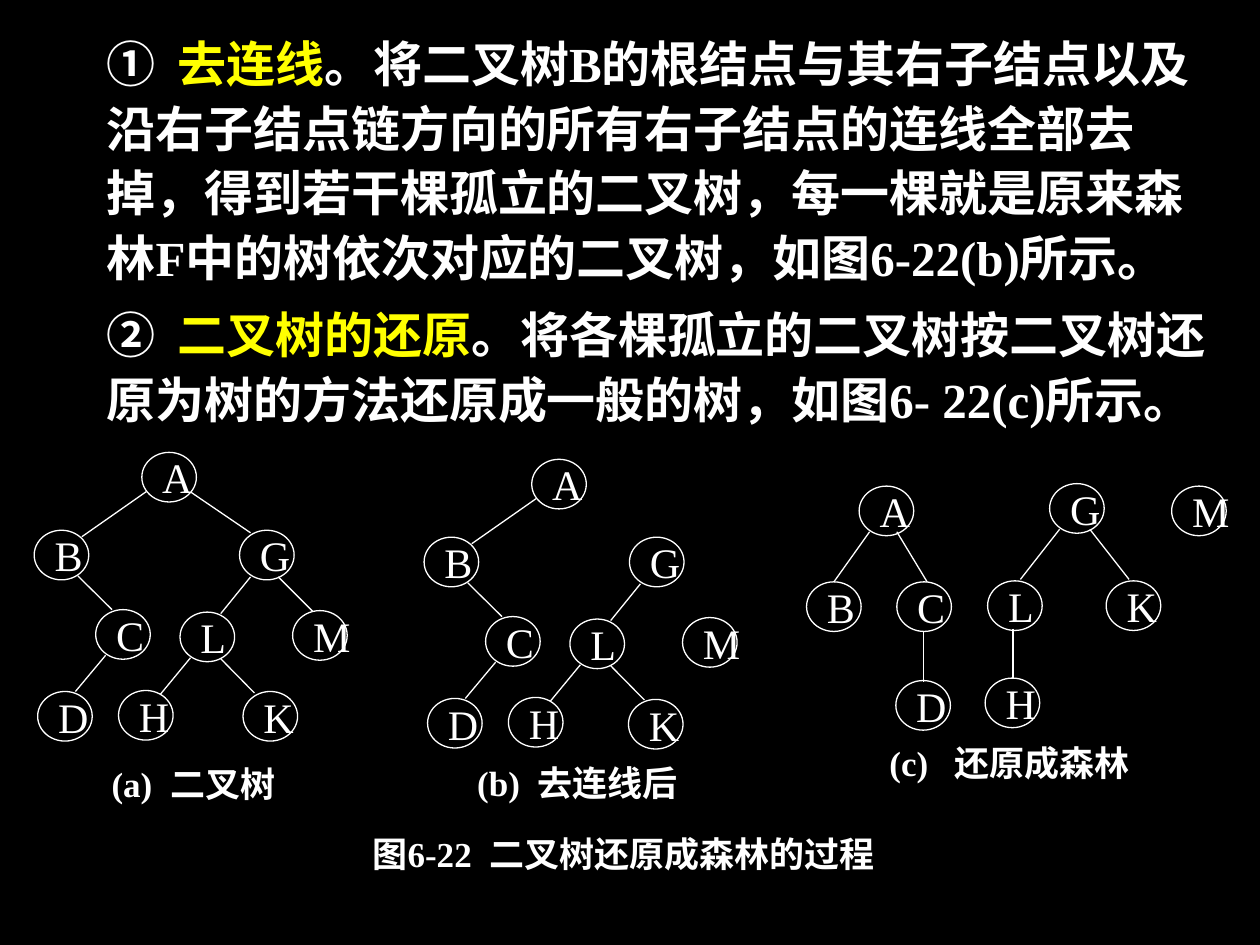
from pptx import Presentation
from pptx.util import Cm, Pt
from pptx.dml.color import RGBColor
from pptx.enum.shapes import MSO_SHAPE as Shape, MSO_CONNECTOR as Link
from pptx.enum.text import MSO_ANCHOR as Anchor, PP_ALIGN as Align
from lxml.etree import SubElement
from pptx.oxml.ns import qn

ROMAN, SANS = "Times New Roman", "Noto Sans CJK SC"
WHITE, YELLOW, BLACK = "FFFFFF", "FFFF00", "000000"


def paint(target, color):
    target.rgb = RGBColor.from_string(color)


def write(para, text, size, color=WHITE, bold=True, face=ROMAN):
    run = para.add_run()
    run.text = text
    font = run.font
    font.size, font.bold, font.name = Pt(size), bold, face
    paint(font.color, color)
    SubElement(run._r.get_or_add_rPr(), qn("a:ea")).set("typeface", SANS)


deck = Presentation()
deck.slide_width, deck.slide_height = Cm(25.4), Cm(19.05)
slide = deck.slides.add_slide(deck.slide_layouts[6])
slide.background.fill.solid()
paint(slide.background.fill.fore_color, BLACK)
shapes = slide.shapes

steps = [
    [("①  ", WHITE, ROMAN), ("去连线", YELLOW, ROMAN),
     ("。将二叉树B的根结点与其右子结点以及沿右子结点链方向的所有右子结点的连线全部去掉，"
      "得到若干棵孤立的二叉树，每一棵就是原来森林F中的树依次对应的二叉树，", WHITE, ROMAN),
     ("如图", WHITE, SANS), ("6-22(b)所示", WHITE, ROMAN), ("。", WHITE, SANS)],
    [("②  ", WHITE, ROMAN), ("二叉树的还原", YELLOW, ROMAN),
     ("。将各棵孤立的二叉树按二叉树还原为树的方法还原成一般的树，", WHITE, ROMAN),
     ("如图", WHITE, SANS), ("6- 22(c)所示", WHITE, ROMAN), ("。", WHITE, SANS)],
]
body = shapes.add_textbox(Cm(0.43), Cm(0.43), Cm(24.56), Cm(8.51)).text_frame
body.word_wrap = True
for i, step in enumerate(steps):
    para = body.add_paragraph() if i else body.paragraphs[0]
    para.line_spacing, para.space_before = 1.1, Pt(7)
    props = para._p.get_or_add_pPr()
    props.set("marL", str(Cm(1.47)))
    props.set("indent", "0")
    props.set("hangingPunct", "0")
    for text, color, face in step:
        write(para, text, 28, color, face=face)

nodes_a = {"A": (2.86, 9.12), "B": (0.69, 10.69), "C": (1.93, 12.29),
           "D": (0.76, 13.94), "G": (4.83, 10.69), "L": (3.63, 12.34),
           "K": (4.9, 13.94), "H": (2.39, 13.92), "M": (5.9, 12.31)}
kept = [(2.95, 9.91, 1.65, 10.82), (1.57, 11.61, 2.26, 12.29),
        (2.13, 13.21, 1.52, 13.94), (5.05, 11.63, 4.45, 12.37),
        (3.84, 13.26, 3.23, 14), (4.45, 13.28, 5.13, 13.97)]
cut = [(3.86, 9.93, 5.05, 10.74), (5.61, 11.63, 6.3, 12.32)]

dx, dy = 7.86, 0.14
nodes_b = {name: (x + dx, y + dy) for name, (x, y) in nodes_a.items()}
nodes_b["K"] = (12.67, 14.1)
edges_b = [(a + dx, b + dy, c + dx, d + dy) for a, b, c, d in kept]

nodes_c = {"A": (17.32, 9.8), "B": (16.26, 11.73), "C": (18.08, 11.73),
           "D": (18.06, 13.72), "M": (23.62, 9.8), "G": (21.16, 9.75),
           "L": (19.91, 11.71), "H": (19.86, 13.67), "K": (22.3, 11.71)}
edges_c = [(17.53, 10.72, 16.81, 11.73), (18.08, 10.72, 18.69, 11.73),
           (18.62, 12.73, 18.62, 13.74), (21.36, 10.67, 20.57, 11.68),
           (21.97, 10.67, 22.76, 11.68), (20.42, 12.67, 20.42, 13.69)]

for nodes, edges in [(nodes_a, kept + cut), (nodes_b, edges_b), (nodes_c, edges_c)]:
    for name, (x, y) in nodes.items():
        node = shapes.add_shape(Shape.OVAL, Cm(x), Cm(y), Cm(1.1), Cm(1))
        node.shadow.inherit = False
        node.fill.background()
        node.line.width = Pt(0.74)
        paint(node.line.color, WHITE)
        frame = node.text_frame
        frame.word_wrap = False
        frame.vertical_anchor = Anchor.MIDDLE
        frame.paragraphs[0].alignment = Align.LEFT
        write(frame.paragraphs[0], name, 24, bold=False)
    for edge in edges:
        line = shapes.add_connector(Link.STRAIGHT, *map(Cm, edge))
        line.line.width = Pt(0.74)
        paint(line.line.color, WHITE)
        SubElement(line._element.spPr, qn("a:effectLst"))

for text, x, y, width in [("(a)  二叉树", 2, 15.29, 4.4),
                          ("(b)  去连线后", 9.37, 15.27, 5.2),
                          ("(c)   还原成森林", 17.68, 14.88, 6.1),
                          ("图6-22  二叉树还原成森林的过程", 7.26, 16.71, 11.3)]:
    frame = shapes.add_textbox(Cm(x), Cm(y), Cm(width), Cm(1)).text_frame
    frame.word_wrap = False
    frame.vertical_anchor = Anchor.MIDDLE
    write(frame.paragraphs[0], text, 20)

deck.save("out.pptx")
